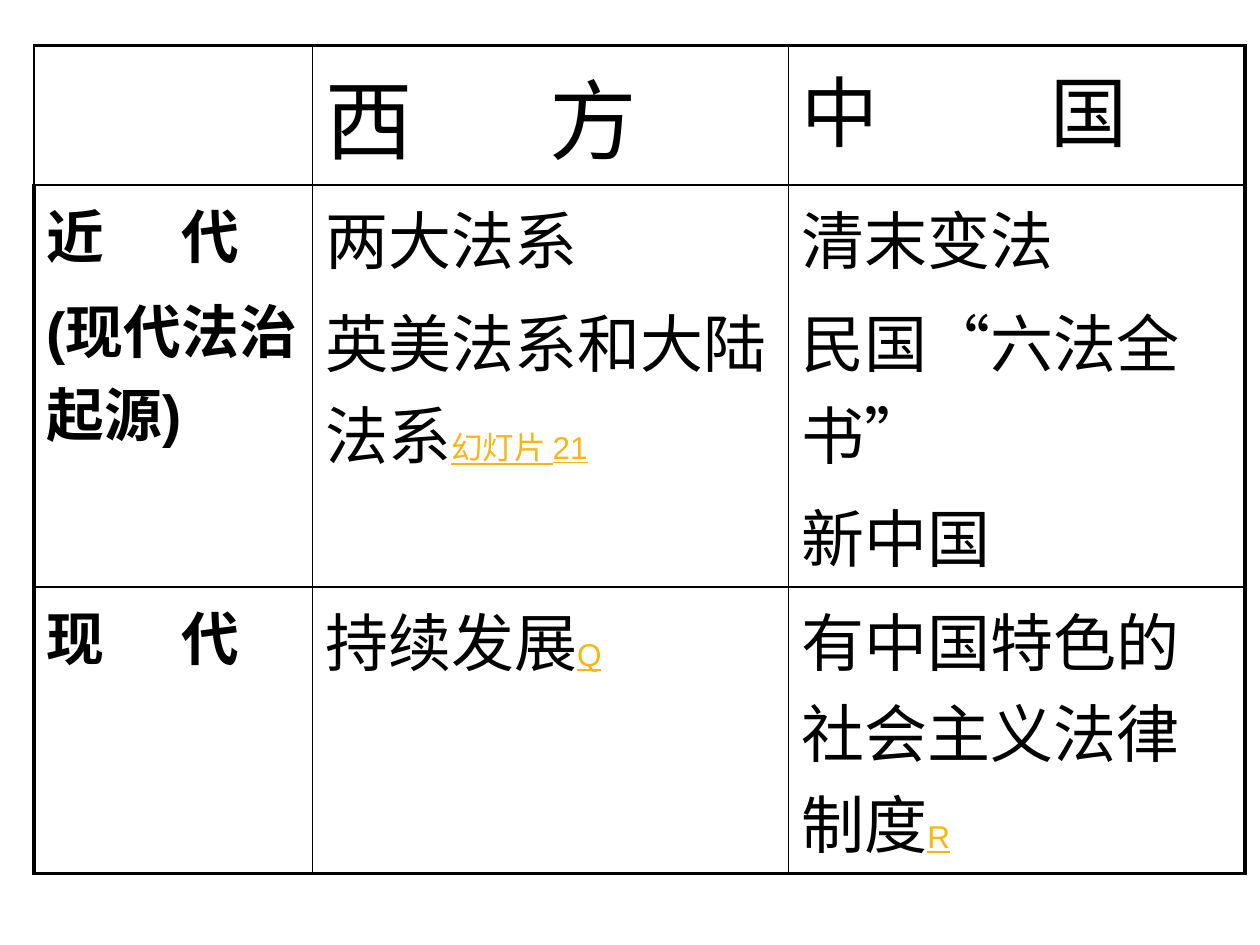
from dataclasses import dataclass

import pptx
import pptx.dml.color
import pptx.oxml
import pptx.oxml.ns
import pptx.util


@dataclass(frozen=True)
class Theme:
    font: str = "Arial"
    ink: str = "000000"
    link: str = "F7B615"
    west_size: int = 50
    china_size: int = 44
    era_size: int = 33
    body_size: int = 36
    link_size: int = 18
    outer_line: float = 2.25
    inner_line: float = 1
    space_before: int = 20  # percent of a line


THEME = Theme()
COLUMNS = (2.21, 3.78, 3.62)
ROWS = (0.88, 1.86, 1.51)


@dataclass(frozen=True)
class Line:
    """One paragraph, with an optional link label and tab stop in inches."""
    text: str
    size: int = THEME.body_size
    bold: bool = False
    label: str = ""
    tab: float = 0


def era(text: str, tab: float = 0) -> Line:
    return Line(text, THEME.era_size, bold=True, tab=tab)


GRID = (
    (
        (),
        (Line("西\t方", THEME.west_size, tab=1.78),),
        (Line("中\t国", THEME.china_size, tab=1.98),),
    ),
    (
        (era("近\t代", 1.07), era("(现代法治起源)")),
        (Line("两大法系"), Line("英美法系和大陆法系", label="幻灯片 21")),
        (Line("清末变法"), Line("民国“六法全书”"), Line("新中国")),
    ),
    (
        (era("现\t代", 1.07),),
        (Line("持续发展", label="Q"),),
        (Line("有中国特色的社会主义法律制度", label="R"),),
    ),
)


def add_xml(parent, tag: str, **attributes):
    child = pptx.oxml.ns.qn(tag)
    element = parent.makeelement(child, attributes)
    parent.append(element)
    return element


def add_run(p, text: str, size: int, color: str, bold=False, underline=False) -> None:
    r = p.add_run()
    r.text = text
    r.font.name = THEME.font
    r.font.size = pptx.util.Pt(size)
    r.font.bold = bold
    r.font.underline = underline
    r.font.color.rgb = pptx.dml.color.RGBColor.from_string(color)


def write_line(p, line: Line) -> None:
    properties = p._p.get_or_add_pPr()
    spacing = add_xml(properties, "a:spcBef")
    add_xml(spacing, "a:spcPct", val=str(THEME.space_before * 1000))
    if line.tab:
        tabs = add_xml(properties, "a:tabLst")
        add_xml(tabs, "a:tab", pos=str(pptx.util.Inches(line.tab)), algn="l")
    add_run(p, line.text, line.size, THEME.ink, line.bold)
    if line.label:
        add_run(p, line.label, THEME.link_size, THEME.link, underline=True)


def draw_borders(cell, row: int, column: int) -> None:
    last_row, last_column = len(ROWS) - 1, len(COLUMNS) - 1
    # The left edge is heavy only beside the two eras
    heavy = {
        "a:lnL": column == 0 and row > 0,
        "a:lnR": column == last_column,
        "a:lnT": row == 0,
        "a:lnB": row == last_row,
    }
    properties = cell._tc.get_or_add_tcPr()
    for side, is_heavy in heavy.items():
        width = THEME.outer_line if is_heavy else THEME.inner_line
        ln = add_xml(properties, side, w=str(pptx.util.Pt(width)))
        fill = add_xml(ln, "a:solidFill")
        add_xml(fill, "a:srgbClr", val=THEME.ink)


def fill_cell(cell, lines: tuple, row: int, column: int) -> None:
    draw_borders(cell, row, column)
    cell.fill.background()
    tf = cell.text_frame
    for i, line in enumerate(lines):
        write_line(tf.add_paragraph() if i else tf.paragraphs[0], line)


def main() -> None:
    prs = pptx.Presentation()
    prs.slide_width = pptx.util.Inches(10)
    prs.slide_height = pptx.util.Inches(7.5)
    s = prs.slides.add_slide(prs.slide_layouts[6])

    # Comparison table: eras down, regions across
    box = [pptx.util.Inches(v) for v in (0.27, 0.36, sum(COLUMNS), 5.57)]
    frame = s.shapes.add_table(len(ROWS), len(COLUMNS), *box)
    table = frame.table
    table.first_row = table.horz_banding = False
    for column, width in zip(table.columns, COLUMNS):
        column.width = pptx.util.Inches(width)
    for row, height in zip(table.rows, ROWS):
        row.height = pptx.util.Inches(height)
    frame.height = box[3]

    # Cell contents
    for i, row in enumerate(GRID):
        for j, lines in enumerate(row):
            fill_cell(table.cell(i, j), lines, i, j)

    prs.save("out.pptx")


if __name__ == "__main__":
    main()
